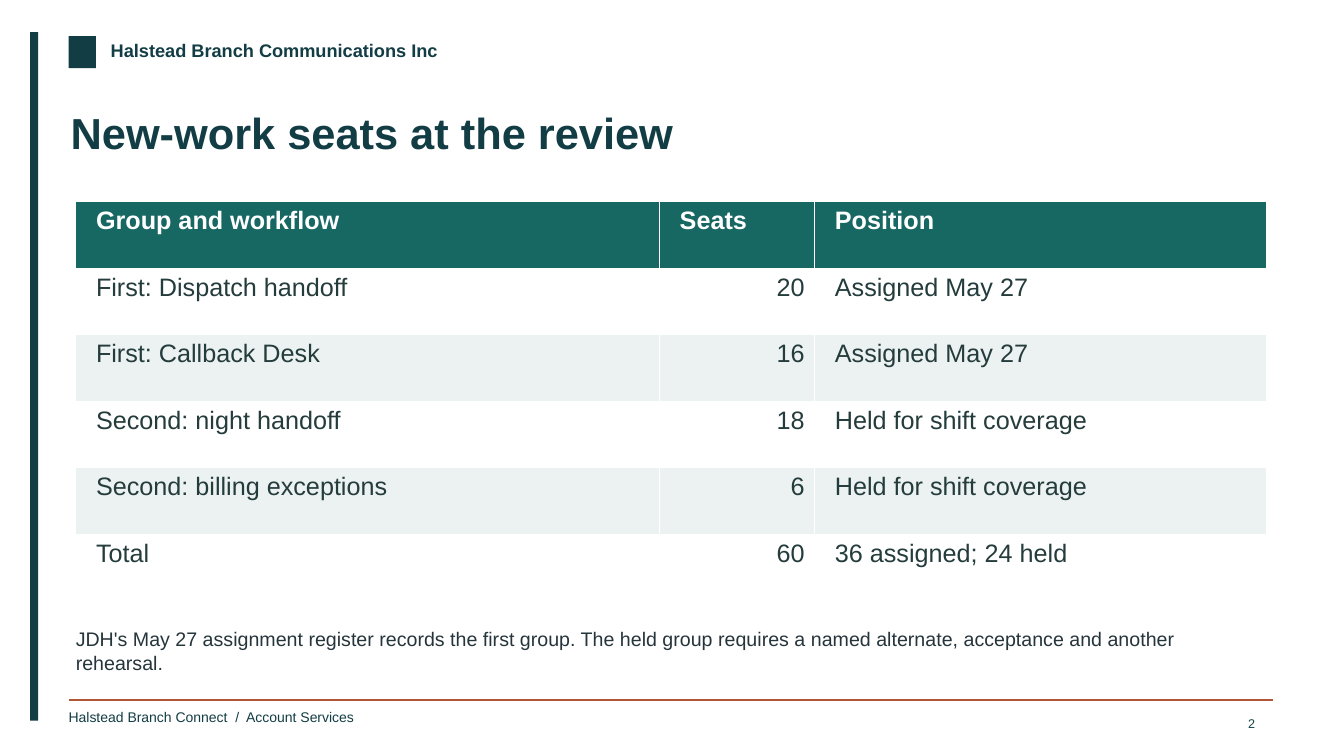
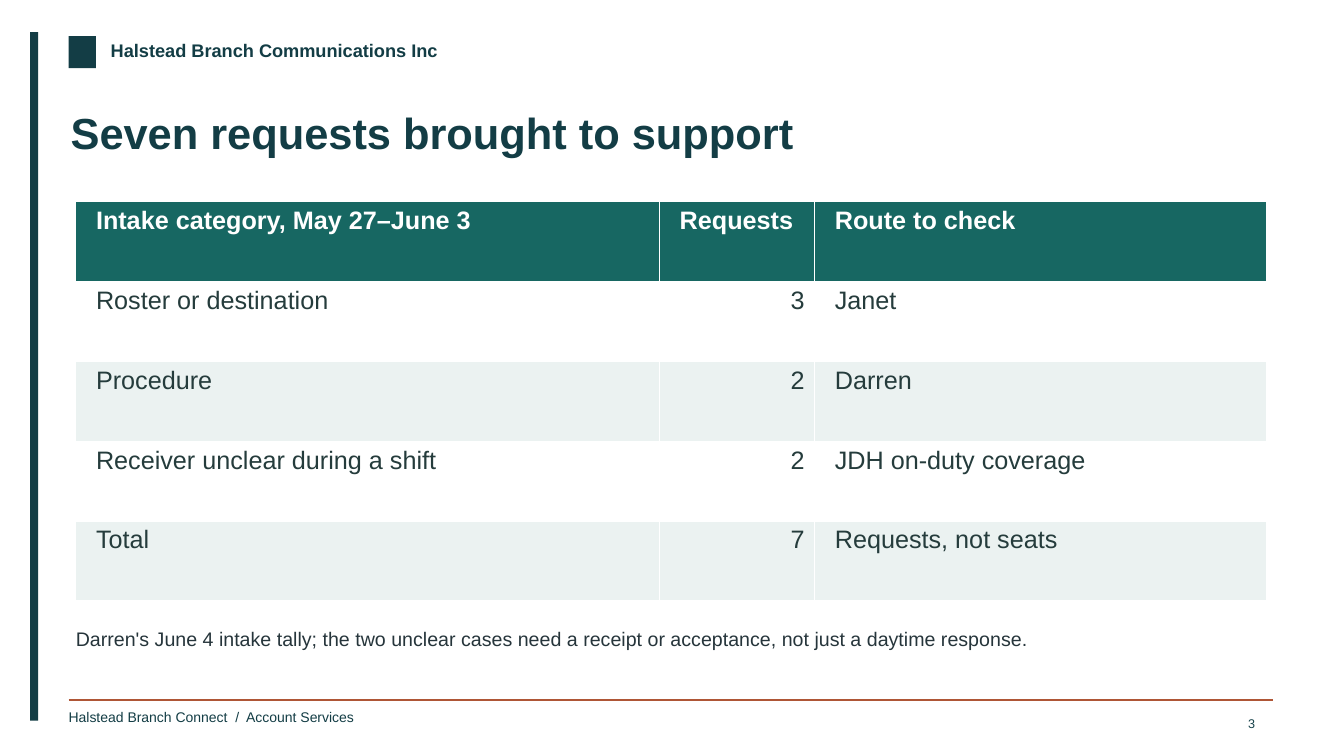
"""Build two table slides that share one frame of bar, header, rule and footer."""
from lxml.etree import SubElement
from pptx import Presentation
from pptx.dml.color import RGBColor
from pptx.enum.shapes import MSO_CONNECTOR as Line, MSO_SHAPE as Shape
from pptx.enum.text import PP_ALIGN as Align
from pptx.oxml.ns import qn
from pptx.util import Cm, Pt

NAVY = RGBColor(0x13, 0x3D, 0x45)
RUST = RGBColor(0xAF, 0x56, 0x36)
TEAL = RGBColor(0x17, 0x67, 0x62)
PALE = RGBColor(0xEB, 0xF2, 0xF1)
WHITE = RGBColor(0xFF, 0xFF, 0xFF)
INK = RGBColor(0x25, 0x3C, 0x3C)
SLATE = RGBColor(0x26, 0x35, 0x3B)
PAGE = RGBColor(0x16, 0x42, 0x4A)

FONT = "Arial"
OWNER = "Halstead Branch Communications Inc"
FOOTER = "Halstead Branch Connect  /  Account Services"
FIRST = 2
COLS = (14.71, 3.91, 11.4)
LEFT, TOP, HIGH = 1.91, 5.08, 10.06

SLIDES = [
    {
        "title": "New-work seats at the review",
        "rows": [
            ("Group and workflow", "Seats", "Position"),
            ("First: Dispatch handoff", "20", "Assigned May 27"),
            ("First: Callback Desk", "16", "Assigned May 27"),
            ("Second: night handoff", "18", "Held for shift coverage"),
            ("Second: billing exceptions", "6", "Held for shift coverage"),
            ("Total", "60", "36 assigned; 24 held"),
        ],
        "note": "JDH's May 27 assignment register records the first group. "
                "The held group requires a named alternate, acceptance and "
                "another rehearsal.",
    },
    {
        "title": "Seven requests brought to support",
        "rows": [
            ("Intake category, May 27–June 3", "Requests", "Route to check"),
            ("Roster or destination", "3", "Janet"),
            ("Procedure", "2", "Darren"),
            ("Receiver unclear during a shift", "2", "JDH on-duty coverage"),
            ("Total", "7", "Requests, not seats"),
        ],
        "note": "Darren's June 4 intake tally; the two unclear cases need a "
                "receipt or acceptance, not just a daytime response.",
    },
]


def put(frame, text, size=18, color=INK, bold=False, align=Align.LEFT):
    """Write one formatted paragraph into a text frame."""
    para = frame.paragraphs[0]
    para.alignment = align
    run = para.add_run()
    run.text = text
    font = run.font
    font.name, font.size, font.bold = FONT, Pt(size), bold
    font.color.rgb = color


def label(slide, text, box, inset=0, **style):
    """Add a wrapping text box with even margins."""
    frame = slide.shapes.add_textbox(*map(Cm, box)).text_frame
    frame.word_wrap = True
    frame.margin_left = frame.margin_right = Cm(inset)
    frame.margin_top = frame.margin_bottom = Cm(inset / 2)
    put(frame, text, **style)


def block(slide, box):
    """Add a plain dark rectangle."""
    shape = slide.shapes.add_shape(Shape.RECTANGLE, *map(Cm, box))
    shape.shadow.inherit = False
    shape.fill.solid()
    shape.fill.fore_color.rgb = NAVY
    shape.line.fill.background()


def rule(slide, left, right, top):
    """Add the thin line above the footer."""
    line = slide.shapes.add_connector(
        Line.STRAIGHT, Cm(left), Cm(top), Cm(right), Cm(top))
    line.line.color.rgb = RUST
    line.line.width = Pt(1)
    SubElement(line._element.spPr, qn("a:effectLst"))


def frame(slide, title, page):
    """Draw the parts that every slide shares."""
    block(slide, (0.76, 0.81, 0.2, 17.35))
    block(slide, (1.73, 0.91, 0.69, 0.81))
    label(slide, OWNER, (2.79, 0.99, 9.02, 0.69),
          size=13, color=NAVY, bold=True)
    rule(slide, 1.73, 32.08, 17.64)
    label(slide, FOOTER, (1.73, 17.86, 7.6, 0.58), size=10, color=NAVY)
    label(slide, title, (1.78, 2.67, 30.23, 2.1),
          size=31, color=NAVY, bold=True)
    label(slide, str(page), (30.48, 17.91, 1.4, 0.56), inset=0.25,
          size=9, color=PAGE, align=Align.RIGHT)


def grid(slide, rows):
    """Add the table with a dark header and striped rows."""
    table = slide.shapes.add_table(
        len(rows), len(COLS), Cm(LEFT), Cm(TOP),
        Cm(sum(COLS)), Cm(HIGH)).table
    for col, width in zip(table.columns, COLS):
        col.width = Cm(width)
    for r, row in enumerate(rows):
        table.rows[r].height = Cm(HIGH / len(rows))
        head = r == 0
        fill = TEAL if head else (PALE, WHITE)[r % 2]
        for c, text in enumerate(row):
            cell = table.cell(r, c)
            cell.margin_left = Cm(0.51)
            cell.fill.solid()
            cell.fill.fore_color.rgb = fill
            right = c == 1 and not head
            put(cell.text_frame, text, color=WHITE if head else INK,
                bold=head, align=Align.RIGHT if right else Align.LEFT)


def main():
    """Build and save the deck."""
    deck = Presentation()
    deck.slide_width, deck.slide_height = Cm(33.87), Cm(19.05)
    for page, item in enumerate(SLIDES, FIRST):
        slide = deck.slides.add_slide(deck.slide_layouts[6])
        frame(slide, item["title"], page)
        grid(slide, item["rows"])
        label(slide, item["note"], (LEFT, 15.8, sum(COLS), 1.12),
              size=14, color=SLATE)
    deck.save("out.pptx")


if __name__ == "__main__":
    main()
